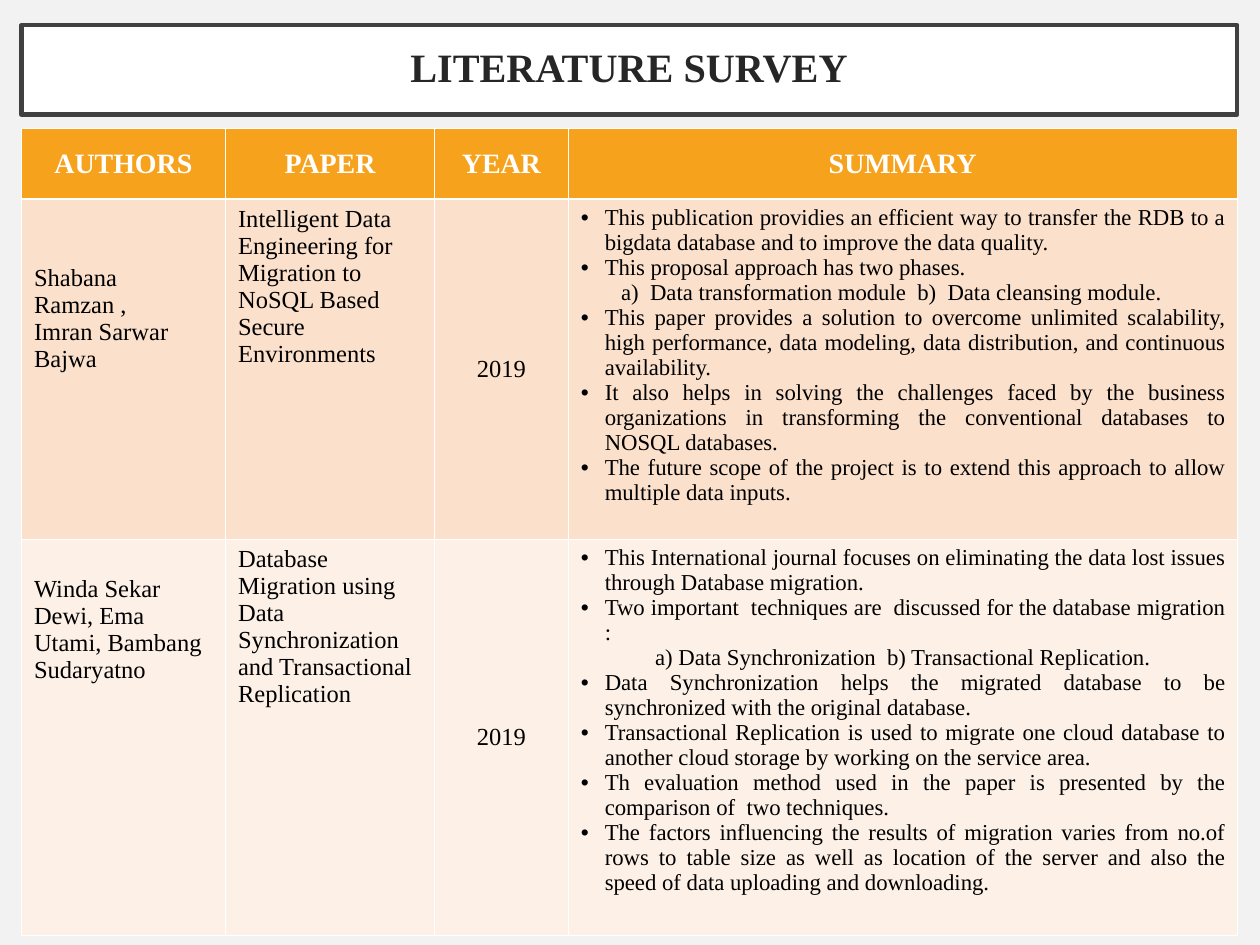
from lxml.etree import SubElement
from pptx import Presentation
from pptx.dml.color import RGBColor
from pptx.enum.shapes import MSO_SHAPE as Shape
from pptx.enum.text import MSO_ANCHOR as Anchor, PP_ALIGN as Align
from pptx.oxml.ns import qn
from pptx.util import Inches, Pt

WIDTH, HEIGHT = Inches(10), Inches(7.5)
GRID_COLUMNS, GRID_ROWS = 100, 75

HEADINGS = ["AUTHORS", "PAPER", "YEAR", "SUMMARY"]

# Each summary point is (text, indent); None marks a bulleted point
SURVEY = [
    {
        "authors": ["Shabana Ramzan ,", "Imran Sarwar Bajwa"],
        "authors_top": 5.2,
        "paper": ["Intelligent Data Engineering for Migration to NoSQL Based "
                  "Secure Environments"],
        "year": "2019",
        "summary": [
            ("This publication providies an efficient way to transfer the RDB to a "
             "bigdata database and to improve the data quality.", None),
            ("This proposal approach has two phases.", None),
            ("a)  Data transformation module  b)  Data cleansing module.", 3.2),
            ("This paper provides a solution to overcome unlimited scalability, high "
             "performance, data modeling, data distribution, and continuous "
             "availability.", None),
            ("It also helps in solving the challenges faced by the business "
             "organizations in transforming the conventional databases to NOSQL "
             "databases.", None),
            ("The future scope of the project is to extend this approach to allow "
             "multiple data inputs.", None),
        ],
        "fill": "FBE0CC",
    },
    {
        "authors": ["Winda Sekar Dewi, Ema Utami, Bambang Sudaryatno"],
        "authors_top": 2.9,
        "paper": ["Database Migration using Data Synchronization",
                  "and Transactional Replication"],
        "year": "2019",
        "summary": [
            ("This International journal focuses on eliminating the data lost issues "
             "through Database migration.", None),
            ("Two important  techniques are  discussed for the database migration :",
             None),
            ("a) Data Synchronization  b) Transactional Replication.", 5.9),
            ("Data Synchronization helps the migrated database to be synchronized "
             "with the original database.", None),
            ("Transactional Replication is used to migrate one cloud database to "
             "another cloud storage by working on the service area.", None),
            ("Th evaluation method used in the paper is presented by the comparison "
             "of  two techniques.", None),
            ("The factors influencing the results of migration varies from no.of rows "
             "to table size as well as location of the server and also the speed of "
             "data uploading and downloading.", None),
        ],
        "fill": "FDF0E7",
    },
]


def color(value):
    return RGBColor.from_string(value)


def across(columns):
    return round(WIDTH * columns / GRID_COLUMNS)


def down(rows):
    return round(HEIGHT * rows / GRID_ROWS)


class SurveySlide:
    font_name = "Times New Roman"
    ink, white, accent = "000000", "FFFFFF", "F6A21D"
    hanging = 1.9

    def __init__(self, deck, background):
        self.slide = deck.slides.add_slide(deck.slide_layouts[6])
        fill = self.slide.background.fill
        fill.solid()
        fill.fore_color.rgb = color(background)

    def style(self, paragraph, size, ink, bold=False, align=Align.LEFT):
        paragraph.alignment = align
        font = paragraph.font
        font.name, font.size, font.bold = self.font_name, Pt(size), bold
        font.color.rgb = color(ink)

    def title(self, text, left, top, width, height):
        banner = self.slide.shapes.add_shape(
            Shape.RECTANGLE, across(left), down(top), across(width), down(height))
        banner.shadow.inherit = False
        banner.fill.solid()
        banner.fill.fore_color.rgb = color(self.white)
        banner.line.color.rgb = color("404040")
        banner.line.width = Pt(2.5)
        frame = banner.text_frame
        frame.vertical_anchor = Anchor.MIDDLE
        frame.text = text
        frame.paragraphs[0].line_spacing = 0.9
        self.style(frame.paragraphs[0], 23, "262626", True, Align.CENTER)

    def table(self, left, top, widths, heights):
        grid = self.slide.shapes.add_table(
            len(heights), len(widths), across(left), down(top),
            across(sum(widths)), down(sum(heights))).table
        grid.horz_banding = False
        for column, width in zip(grid.columns, widths):
            column.width = across(width)
        for row, height in zip(grid.rows, heights):
            row.height = down(height)
        return grid

    def border(self, cell, side, points):
        line = SubElement(cell._tc.get_or_add_tcPr(), qn(f"a:ln{side}"),
                          w=str(Pt(points)))
        SubElement(SubElement(line, qn("a:solidFill")), qn("a:srgbClr"),
                   val=self.white)

    def cell(self, cell, lines, fill, size=14, ink=ink, bold=False,
             align=Align.LEFT, anchor=Anchor.TOP, top=0.45, bottom=0.45):
        for side, points in zip("LRTB", (0.45, 0.45, top, bottom)):
            self.border(cell, side, points)
        cell.fill.solid()
        cell.fill.fore_color.rgb = color(fill)
        cell.vertical_anchor = anchor
        cell.text_frame.text = "\n".join(lines)
        for paragraph in cell.text_frame.paragraphs:
            self.style(paragraph, size, ink, bold, align)

    def summary(self, cell, points, fill, top):
        self.cell(cell, [], fill, top=top)
        frame = cell.text_frame
        for number, (text, indent) in enumerate(points):
            paragraph = frame.add_paragraph() if number else frame.paragraphs[0]
            paragraph.text = text
            properties = paragraph._p.get_or_add_pPr()
            for old in list(properties):
                properties.remove(old)
            if indent is None:
                properties.set("marL", str(across(self.hanging)))
                properties.set("indent", str(-across(self.hanging)))
                bullet_color = SubElement(properties, qn("a:buClr"))
                SubElement(bullet_color, qn("a:srgbClr"), val=self.ink)
                SubElement(properties, qn("a:buFont"), typeface="Arial")
                SubElement(properties, qn("a:buChar"), char="•")
            else:
                properties.set("marL", str(across(indent)))
                properties.set("indent", "0")
            self.style(paragraph, 13, self.ink, align=Align.JUSTIFY)


def main():
    deck = Presentation()
    deck.slide_width, deck.slide_height = WIDTH, HEIGHT
    page = SurveySlide(deck, "F2F2F2")
    page.title("LITERATURE SURVEY", 1.7, 2, 96.5, 7.1)

    # Heading row
    grid = page.table(1.7, 10.2, [16.2, 16.6, 10.6, 53.1], [5.6, 27, 31.4])
    heavy = 1.47
    centred = {"align": Align.CENTER, "anchor": Anchor.MIDDLE}
    for column, heading in enumerate(HEADINGS):
        page.cell(grid.cell(0, column), [heading], page.accent, 16, page.white,
                  True, bottom=heavy, **centred)

    # One row for each paper
    for row, study in enumerate(SURVEY, 1):
        authors, paper, year, summary = (grid.cell(row, i) for i in range(4))
        fill, top = study["fill"], heavy if row == 1 else 0.45
        page.cell(authors, study["authors"], fill, top=top)
        authors.margin_top = down(study["authors_top"])
        page.cell(paper, study["paper"], fill, top=top)
        page.cell(year, [study["year"]], fill, top=top, **centred)
        page.summary(summary, study["summary"], fill, top)

    deck.save("out.pptx")


if __name__ == "__main__":
    main()
